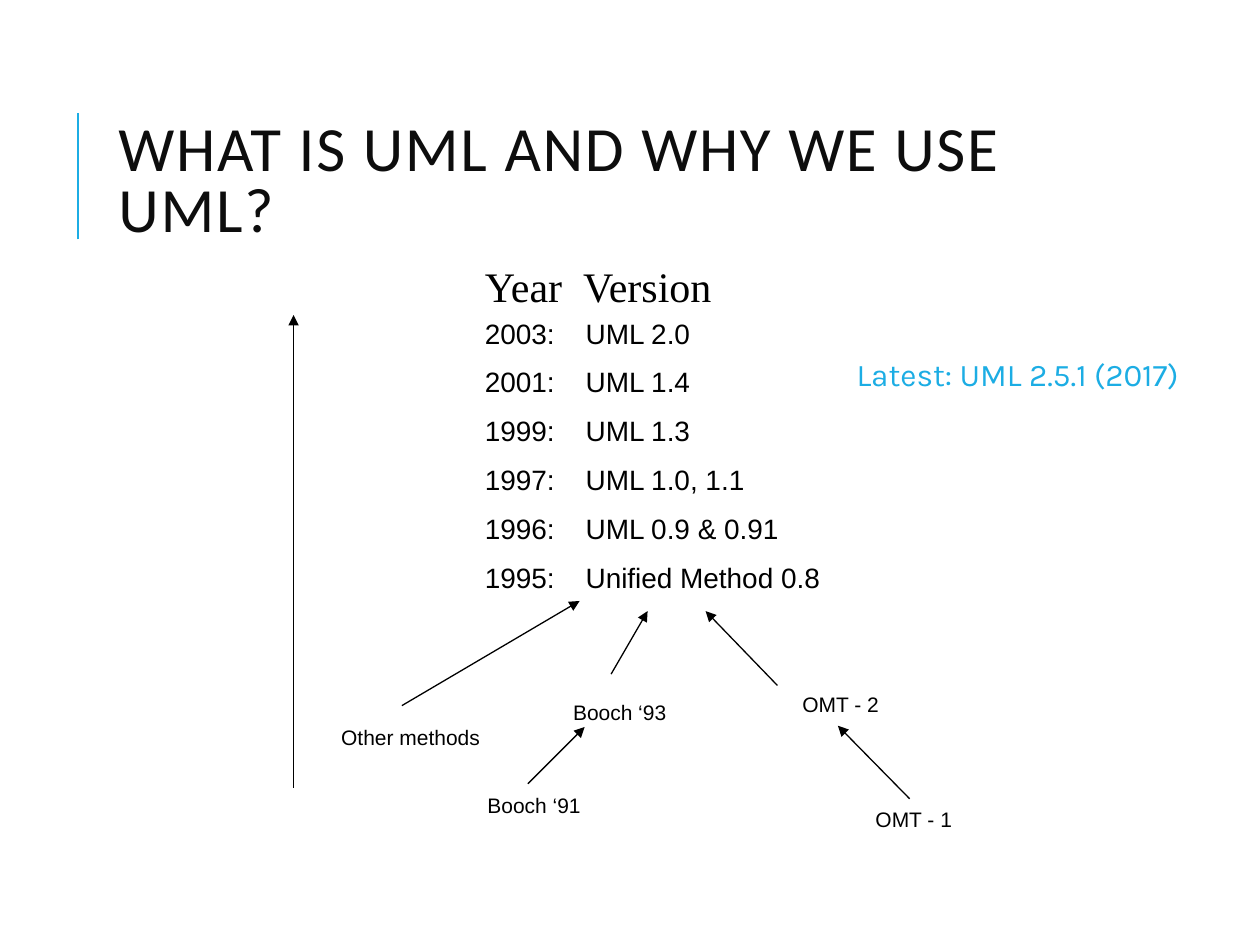
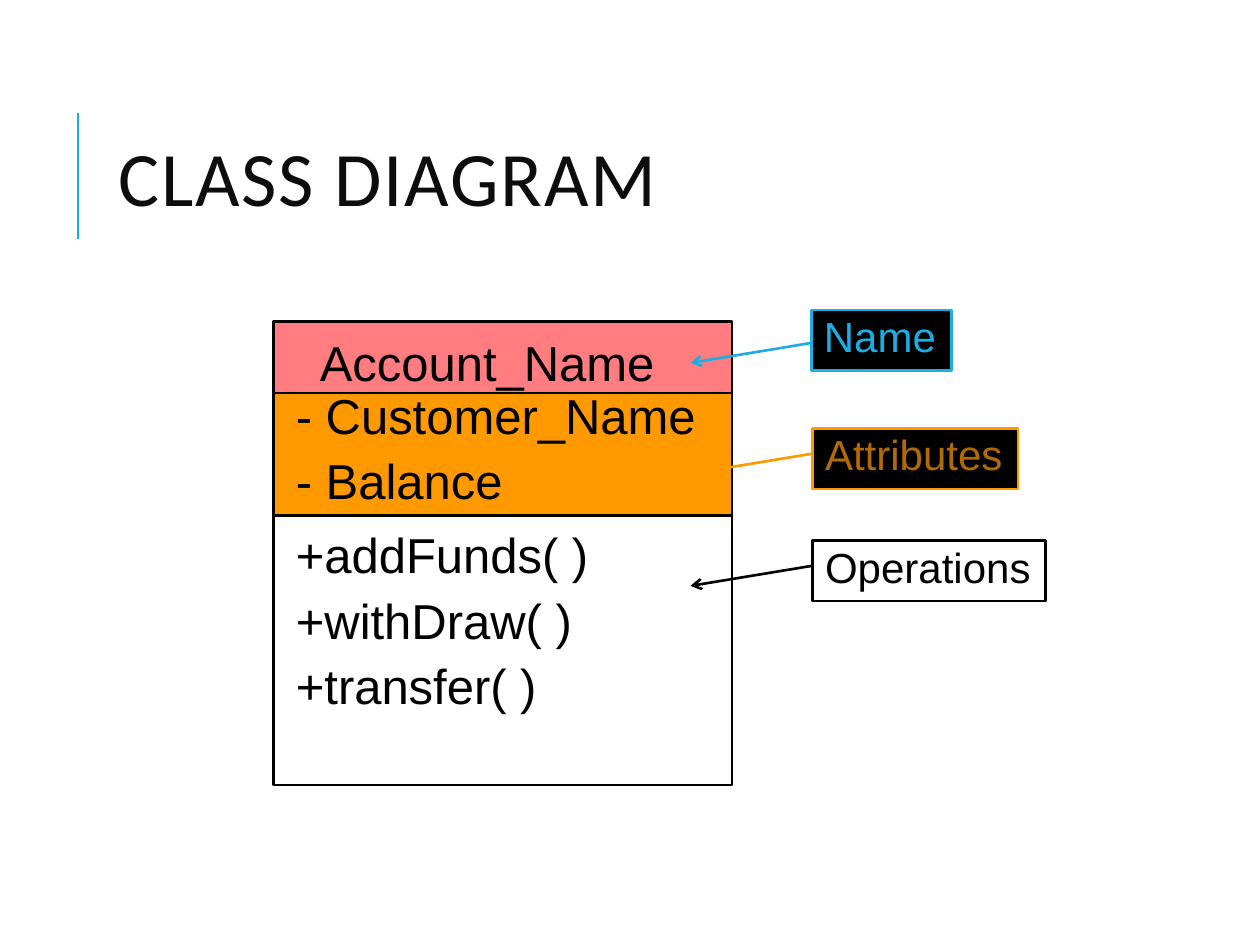
import pptx
import pptx.util
import pptx.dml.color
import pptx.enum.shapes
import pptx.enum.text
import pptx.oxml
import pptx.oxml.ns
import lxml.etree

# The slide is a grid of 10 columns by 7.5 rows
COLUMNS, ROWS = 10, 7.5
CELL = pptx.util.Inches(1)

RGB = pptx.dml.color.RGBColor
BLUE = RGB(0x1C, 0xAD, 0xE4)
INK = RGB(0x0D, 0x0D, 0x0D)
BLACK = RGB(0, 0, 0)
ORANGE = RGB(0xFF, 0x99, 0x00)
BROWN = RGB(0xB2, 0x6B, 0x02)
PINK = RGB(0xFF, 0x7C, 0x80)

TITLE_FONT, BODY_FONT = "Calibri", "Arial"


def cells(*counts):
    """Turn numbers of grid cells into lengths."""
    return [round(count * CELL) for count in counts]


def add_child(parent, tag, **attributes):
    child = lxml.etree.SubElement(parent, pptx.oxml.ns.qn(tag))
    for name, value in attributes.items():
        child.set(name, str(value))
    return child


def write(shape, lines, size, color=BLACK, font=BODY_FONT, gap=0, spacing=None, tab=None):
    """Fill a shape with left-aligned paragraphs of one style."""
    frame = shape.text_frame
    frame.word_wrap = True
    frame.margin_right = 0
    frame.vertical_anchor = pptx.enum.text.MSO_ANCHOR.TOP
    for index, line in enumerate(lines):
        para = frame.paragraphs[0] if index == 0 else frame.add_paragraph()
        para.text = line
        para.alignment = pptx.enum.text.PP_ALIGN.LEFT
        para.space_before = pptx.util.Pt(gap if index else 0)
        if spacing:
            para.line_spacing = spacing
        if tab:
            stops = add_child(para._p.get_or_add_pPr(), "a:tabLst")
            add_child(stops, "a:tab", pos=cells(tab)[0], algn="l")
        para.font.name = font
        para.font.size = pptx.util.Pt(size)
        para.font.color.rgb = color


def add_text(page, place, lines, size, **style):
    box = page.shapes.add_textbox(*cells(*place))
    write(box, lines, size, **style)


def add_box(page, place, line, fill=None):
    box = page.shapes.add_shape(pptx.enum.shapes.MSO_SHAPE.RECTANGLE, *cells(*place))
    box.shadow.inherit = False
    if fill is None:
        box.fill.background()
    else:
        box.fill.solid()
        box.fill.fore_color.rgb = fill
    box.line.color.rgb = line
    box.line.width = pptx.util.Pt(1.5)
    return box


def add_line(page, start, end, color=BLACK, width=0.75, head=None):
    line = page.shapes.add_connector(
        pptx.enum.shapes.MSO_CONNECTOR.STRAIGHT, *cells(*start, *end))
    line.line.color.rgb = color
    line.line.width = pptx.util.Pt(width)
    if head:
        add_child(line.line._get_or_add_ln(), "a:tailEnd", type=head)
    add_child(line._element.spPr, "a:effectLst")


def add_page(deck, title, size):
    """Start a slide with the shared title style and side rule."""
    page = deck.slides.add_slide(deck.slide_layouts[5])
    add_line(page, (0.62, 1.9), (0.62, 0.9), BLUE, 1.5)
    heading = page.shapes.title
    heading.left, heading.top, heading.width, heading.height = cells(0.84, 0.64, 7.97, 1.64)
    write(heading, [title], size, INK, TITLE_FONT, spacing=0.8)
    heading.text_frame.vertical_anchor = pptx.enum.text.MSO_ANCHOR.MIDDLE
    heading.text_frame.auto_size = pptx.enum.text.MSO_AUTO_SIZE.NONE
    properties = heading.text_frame.paragraphs[0]._p.get_or_add_pPr()
    properties.find(pptx.oxml.ns.qn("a:defRPr")).set("spc", "100")
    return page


def build_history(deck):
    page = add_page(deck, "WHAT IS UML AND WHY WE USE UML?", 36)

    # Versions by year, newest first
    versions = [
        ("2003:", "UML 2.0"),
        ("2001:", "UML 1.4"),
        ("1999:", "UML 1.3"),
        ("1997:", "UML 1.0, 1.1"),
        ("1996:", "UML 0.9 & 0.91"),
        ("1995:", "Unified Method 0.8"),
    ]
    add_text(page, (3.75, 2.02, 2.58, 0.5), ["Year\tVersion"], 24,
             font="Times New Roman", tab=0.78)
    add_text(page, (3.75, 2.46, 4.6, 2.3), ["\t".join(row) for row in versions], 16,
             gap=8.7, tab=0.8)
    add_text(page, (6.7, 2.77, 3, 0.4), ["Latest: UML 2.5.1 (2017)"], 18,
             color=BLUE, font="Karla")

    # Earlier methods
    methods = [
        ("Other methods", 2.61, 5.7),
        ("Booch ‘91", 3.77, 6.24),
        ("Booch ‘93", 4.45, 5.5),
        ("OMT - 2", 6.27, 5.44),
        ("OMT - 1", 6.85, 6.35),
    ]
    for name, left, top in methods:
        add_text(page, (left, top, 1.3, 0.3), [name], 12)

    # Time axis, then the line of descent
    arrows = [
        ((2.33, 6.25), (2.33, 2.5)),
        ((3.19, 5.6), (4.6, 4.77)),
        ((4.19, 6.22), (4.64, 5.77)),
        ((4.85, 5.35), (5.14, 4.85)),
        ((7.22, 6.34), (6.65, 5.76)),
        ((6.17, 5.44), (5.6, 4.85)),
    ]
    for start, end in arrows:
        add_line(page, start, end, head="triangle")


def build_class_diagram(deck):
    page = add_page(deck, "CLASS DIAGRAM", 44)

    # Compartments of the class
    for top, height, fill in [(4.09, 2.14, None), (3.12, 0.97, ORANGE), (2.55, 0.57, PINK)]:
        add_box(page, (2.17, top, 3.64, height), BLACK, fill)
    members = [
        (2.44, 2.64, ["Account_Name"]),
        (2.25, 3.06, ["- Customer_Name", "- Balance"]),
        (2.25, 4.17, ["+addFunds( )", "+withDraw( )", "+transfer( )"]),
    ]
    for left, top, lines in members:
        add_text(page, (left, top, 3.5, 0.52 * len(lines)), lines, 28, gap=7, spacing=0.9)

    # Labels, each with an arrow to its compartment
    labels = [
        ("Name", 6.44, 2.46, 1.11, BLUE, BLUE, BLACK, 2.72),
        ("Attributes", 6.45, 3.4, 1.63, ORANGE, BROWN, BLACK, 3.6),
        ("Operations", 6.45, 4.29, 1.85, BLACK, BLACK, None, 4.49),
    ]
    for name, left, top, width, line, color, fill, arrow_top in labels:
        label = add_box(page, (left, top, width, 0.48), line, fill)
        write(label, [name], 24, color, spacing=0.9)
        add_line(page, (6.45, arrow_top), (5.48, arrow_top + 0.16), line, 1.5, "arrow")


def main():
    deck = pptx.Presentation()
    deck.slide_width, deck.slide_height = cells(COLUMNS, ROWS)
    build_history(deck)
    build_class_diagram(deck)
    deck.save("out.pptx")


if __name__ == "__main__":
    main()
